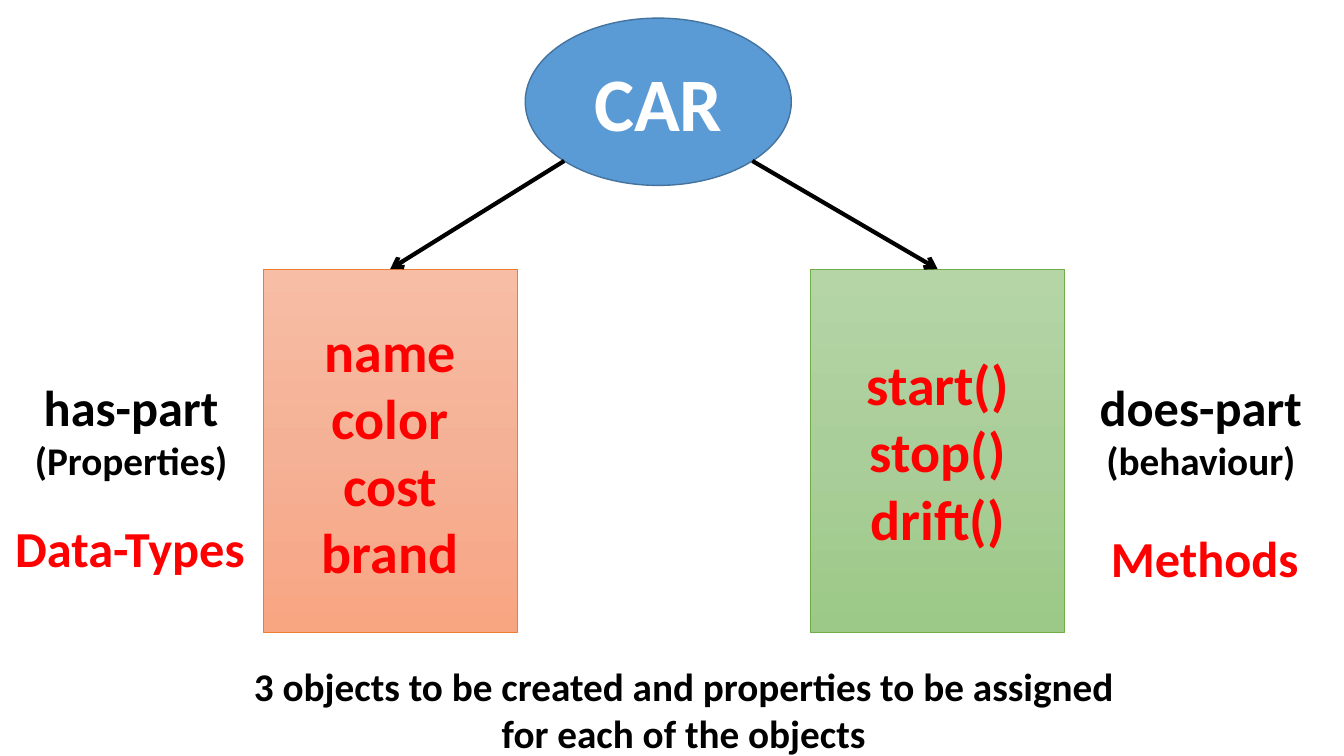
"""Draw a class diagram: a car with its properties and its methods."""
from copy import deepcopy
from dataclasses import dataclass
from math import sqrt

from lxml.etree import SubElement
from pptx import Presentation
from pptx.dml.color import RGBColor
from pptx.enum.shapes import MSO_CONNECTOR, MSO_SHAPE
from pptx.enum.text import MSO_ANCHOR, MSO_AUTO_SIZE, PP_ALIGN
from pptx.oxml.ns import qn
from pptx.shapes.autoshape import Shape
from pptx.slide import Slide
from pptx.text.text import TextFrame
from pptx.util import Inches, Pt

WIDE, HIGH = Inches(13.33), Inches(7.5)


@dataclass(frozen=True)
class Theme:
    """Colours, type sizes and font of the slide."""
    font: str = "Calibri"
    white: str = "FFFFFF"
    black: str = "000000"
    red: str = "FF0000"
    blue: str = "5B9BD5"
    navy: str = "43739E"
    orange: str = "ED7D31"
    green: str = "70AD47"
    peach: tuple[str, ...] = ("F7BDA5", "F5B196", "F8A582")
    mint: tuple[str, ...] = ("B5D5A7", "AACE9A", "9CC987")
    huge: int = 54
    large: int = 40
    medium: int = 36
    small: int = 28


@dataclass(frozen=True)
class Area:
    """A rectangle in percent of the slide's width and height."""
    left: float
    top: float
    width: float
    height: float

    def place(self) -> tuple[int, int, int, int]:
        """Return the rectangle in slide units."""
        return (int(WIDE * self.left / 100), int(HIGH * self.top / 100),
                int(WIDE * self.width / 100), int(HIGH * self.height / 100))


@dataclass(frozen=True)
class Line:
    """One paragraph with its type size."""
    text: str
    size: int


@dataclass(frozen=True)
class Label:
    """Free text in one colour."""
    area: Area
    color: str
    lines: tuple[Line, ...]


@dataclass(frozen=True)
class Part:
    """A box of members; side is -1 left of the car, 1 right of it."""
    left: float
    fill: tuple[str, ...]
    edge: str
    side: int
    names: tuple[str, ...]


LOOK = Theme()
CAR = Area(39.08, 2.4, 19.8, 22.13)
PARTS = (
    Part(19.58, LOOK.peach, LOOK.orange, -1, ("name", "color", "cost", "brand")),
    Part(60.32, LOOK.mint, LOOK.green, 1, ("start()", "stop()", "drift()")),
)
LABELS = (
    Label(Area(1.13, 49.07, 17.25, 15.73), LOOK.black,
          (Line("has-part", LOOK.medium), Line("(Properties)", LOOK.small))),
    Label(Area(80.72, 49.07, 17.25, 15.73), LOOK.black,
          (Line("does-part", LOOK.medium), Line("(behaviour)", LOOK.small))),
    Label(Area(-0.68, 67.73, 20.71, 9.47), LOOK.red,
          (Line("Data-Types", LOOK.medium),)),
    Label(Area(79.29, 69.07, 20.71, 9.47), LOOK.red,
          (Line("Methods", LOOK.medium),)),
    Label(Area(17.78, 86.93, 66.17, 13.87), LOOK.black,
          (Line("3 objects to be created and properties to be assigned "
                "for each of the objects", LOOK.small),)),
)


def tint(code: str) -> RGBColor:
    """Turn a hex code into a colour."""
    return RGBColor.from_string(code)


def write(frame: TextFrame, lines: tuple[Line, ...], color: str) -> None:
    """Fill a frame with bold centred paragraphs."""
    frame.word_wrap = True
    for spot, line in enumerate(lines):
        para = frame.add_paragraph() if spot else frame.paragraphs[0]
        para.text = line.text
        para.alignment = PP_ALIGN.CENTER
        font = para.font
        font.name, font.size, font.bold = LOOK.font, Pt(line.size), True
        font.color.rgb = tint(color)


def add_form(slide: Slide, kind: MSO_SHAPE, area: Area, edge: str, width: float) -> Shape:
    """Add a shape with an outline and middle-anchored text."""
    form = slide.shapes.add_shape(kind, *area.place())
    form.shadow.inherit = False
    form.line.color.rgb = tint(edge)
    form.line.width = Pt(width)
    form.text_frame.vertical_anchor = MSO_ANCHOR.MIDDLE
    return form


def blend(form: Shape, codes: tuple[str, ...]) -> None:
    """Fill a shape from top to bottom with three even colour stops."""
    form.fill.gradient()
    form.fill.gradient_angle = 270
    first = next(form._element.spPr.iter(qn("a:gs")))
    first.addnext(deepcopy(first))
    for spot, (stop, code) in enumerate(zip(form.fill.gradient_stops, codes)):
        stop.position = spot / (len(codes) - 1)
        stop.color.rgb = tint(code)


def add_arrow(slide: Slide, car: Shape, box: Shape, side: int) -> None:
    """Draw an arrow from the car's lower diagonal to the box's top."""
    reach = sqrt(0.5) / 2
    link = slide.shapes.add_connector(
        MSO_CONNECTOR.STRAIGHT,
        int(car.left + car.width * (0.5 + side * reach)),
        int(car.top + car.height * (0.5 + reach)),
        box.left + box.width // 2, box.top)
    link.end_connect(box, 0)
    link.line.color.rgb = tint(LOOK.black)
    link.line.width = Pt(3)
    SubElement(link.line._get_or_add_ln(), qn("a:tailEnd"), type="arrow")
    SubElement(link._element.spPr, qn("a:effectLst"))


def add_part(slide: Slide, part: Part) -> Shape:
    """Add a box listing the members of one part."""
    area = Area(part.left, 35.6, 18.9, 48)
    box = add_form(slide, MSO_SHAPE.RECTANGLE, area, part.edge, 0.5)
    blend(box, part.fill)
    lines = tuple(Line(name, LOOK.large) for name in part.names)
    write(box.text_frame, lines, LOOK.red)
    return box


def add_label(slide: Slide, label: Label) -> None:
    """Add a text box that grows with its text."""
    frame = slide.shapes.add_textbox(*label.area.place()).text_frame
    write(frame, label.lines, label.color)
    frame.auto_size = MSO_AUTO_SIZE.SHAPE_TO_FIT_TEXT


def main() -> None:
    """Build and save the slide."""
    deck = Presentation()
    deck.slide_width, deck.slide_height = WIDE, HIGH
    slide = deck.slides.add_slide(deck.slide_layouts[6])
    car = add_form(slide, MSO_SHAPE.OVAL, CAR, LOOK.navy, 1)
    car.fill.solid()
    car.fill.fore_color.rgb = tint(LOOK.blue)
    write(car.text_frame, (Line("CAR", LOOK.huge),), LOOK.white)
    boxes = [add_part(slide, part) for part in PARTS]
    for box, part in zip(boxes, PARTS):
        add_arrow(slide, car, box, part.side)
    for label in LABELS:
        add_label(slide, label)
    deck.save("out.pptx")


if __name__ == "__main__":
    main()
